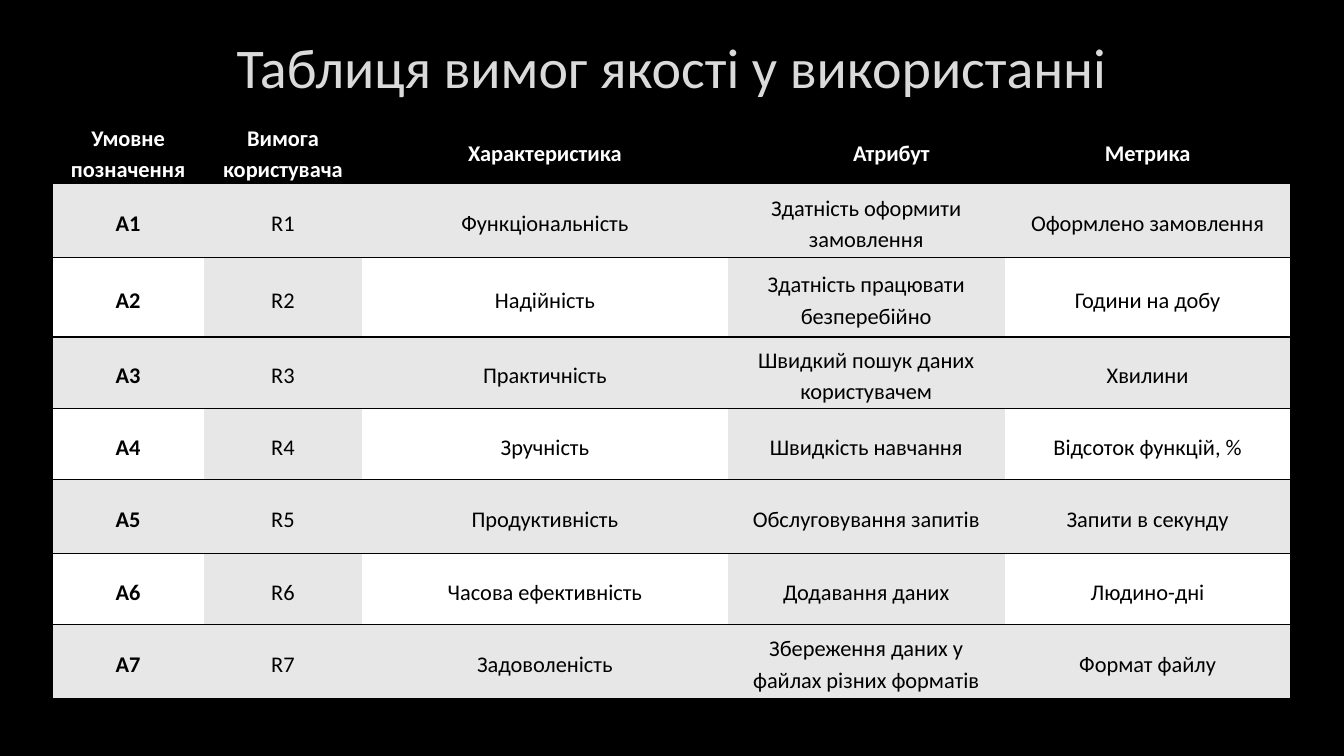
from dataclasses import dataclass

from lxml.etree import SubElement
from pptx import Presentation
from pptx.dml.color import RGBColor
from pptx.enum.text import MSO_ANCHOR, PP_ALIGN
from pptx.oxml.ns import qn
from pptx.table import _Cell
from pptx.util import Pt

PX = 9525
BLACK, WHITE, GREY = "000000", "FFFFFF", "E7E7E7"
NO_STYLE = "{2D5ABB26-0587-4C30-8999-92F81FD0307C}"
TITLE = "Таблиця вимог якості у використанні"


@dataclass
class Column:
    head: str
    width: int
    shaded: bool = False
    bold: bool = False
    indent: int = 0
    after: int = 0


@dataclass
class Need:
    height: int
    trait: str
    attribute: str
    metric: str


COLUMNS = [
    Column("Умовне позначення", 144, bold=True),
    Column("Вимога користувача", 151, shaded=True),
    Column("Характеристика", 348),
    Column("Атрибут", 264, shaded=True, indent=48, after=10),
    Column("Метрика", 272),
]
HEAD_HEIGHT = 63
NEEDS = [
    Need(70, "Функціональність", "Здатність оформити замовлення", "Оформлено замовлення"),
    Need(76, "Надійність", "Здатність працювати безперебійно", "Години на добу"),
    Need(68, "Практичність", "Швидкий пошук даних користувачем", "Хвилини"),
    Need(68, "Зручність", "Швидкість навчання", "Відсоток функцій, %"),
    Need(70, "Продуктивність", "Обслуговування запитів", "Запити в секунду"),
    Need(68, "Часова ефективність", "Додавання даних", "Людино-дні"),
    Need(70, "Задоволеність", "Збереження даних у файлах різних форматів", "Формат файлу"),
]


def color(code: str) -> RGBColor:
    return RGBColor.from_string(code)


def assign(item: object, values: dict) -> None:
    for name, value in values.items():
        setattr(item, name, value)


def add_line(parent, tag: str, width: float, code: str, alpha: int = 100):
    line = SubElement(parent, qn(tag), w=str(Pt(width)))
    fill = SubElement(line, qn("a:solidFill"))
    tint = SubElement(fill, qn("a:srgbClr"), val=code)
    if alpha < 100:
        SubElement(tint, qn("a:alpha"), val=str(alpha * 1000))
    return line


def write(frame, text: str, size: int, code: str, bold: bool):
    """Set one centred paragraph and return it with its run."""
    part = frame.paragraphs[0]
    part.alignment = PP_ALIGN.CENTER
    run = part.add_run()
    run.text = text
    assign(run.font, {"name": "Calibri", "size": Pt(size), "bold": bold})
    run.font.color.rgb = color(code)
    return part, run


def draw_cell(cell: _Cell, text: str, ink: str, fill: str, bold: bool, sides: str):
    assign(cell, {
        "vertical_anchor": MSO_ANCHOR.MIDDLE,
        "margin_left": 5 * PX, "margin_right": 5 * PX,
        "margin_top": 3 * PX, "margin_bottom": 0,
    })
    part, _ = write(cell.text_frame, text, 16, ink, bold)
    part.line_spacing = 1.15
    props = cell._tc.get_or_add_tcPr()
    for side in sides:
        add_line(props, f"a:ln{side}", 1, BLACK)
    cell.fill.solid()
    cell.fill.fore_color.rgb = color(fill)
    return part


def draw_title(slide) -> None:
    title = slide.shapes.title
    assign(title, {"left": 96 * PX, "top": 12 * PX,
                   "width": 1087 * PX, "height": 102 * PX})
    title.text_frame.vertical_anchor = MSO_ANCHOR.MIDDLE
    _, run = write(title.text_frame, TITLE, 40, "DADADA", False)
    props = run.font._element
    props.insert(0, add_line(props, "a:ln", 0.75, "404040", 10))


def draw_table(slide) -> None:
    rows = [[col.head for col in COLUMNS]] + [
        [f"А{num}", f"R{num}", need.trait, need.attribute, need.metric]
        for num, need in enumerate(NEEDS, 1)
    ]
    heights = [HEAD_HEIGHT] + [need.height for need in NEEDS]
    width = sum(col.width for col in COLUMNS)
    table = slide.shapes.add_table(
        len(rows), len(COLUMNS), 50 * PX, 112 * PX, width * PX, sum(heights) * PX
    ).table
    assign(table, {"first_row": False, "horz_banding": False})
    table._tbl.tblPr.find(qn("a:tableStyleId")).text = NO_STYLE
    for x, col in enumerate(COLUMNS):
        table.columns[x].width = col.width * PX
        sides = ("L" if x == 0 else "") + ("R" if x == len(COLUMNS) - 1 else "") + "TB"
        for y, row in enumerate(rows):
            table.rows[y].height = heights[y] * PX
            head = y == 0
            band = GREY if y % 2 or col.shaded else WHITE
            part = draw_cell(table.cell(y, x), row[x], WHITE if head else BLACK,
                             BLACK if head else band, head or col.bold, sides)
            if head and col.indent:
                part._p.get_or_add_pPr().set("marL", str(col.indent * PX))
                part.space_after = Pt(col.after)


def main() -> None:
    deck = Presentation()
    assign(deck, {"slide_width": 1280 * PX, "slide_height": 720 * PX})
    slide = deck.slides.add_slide(deck.slide_layouts[5])
    slide.background.fill.solid()
    slide.background.fill.fore_color.rgb = color(BLACK)
    draw_title(slide)
    draw_table(slide)
    deck.save("out.pptx")


if __name__ == "__main__":
    main()
